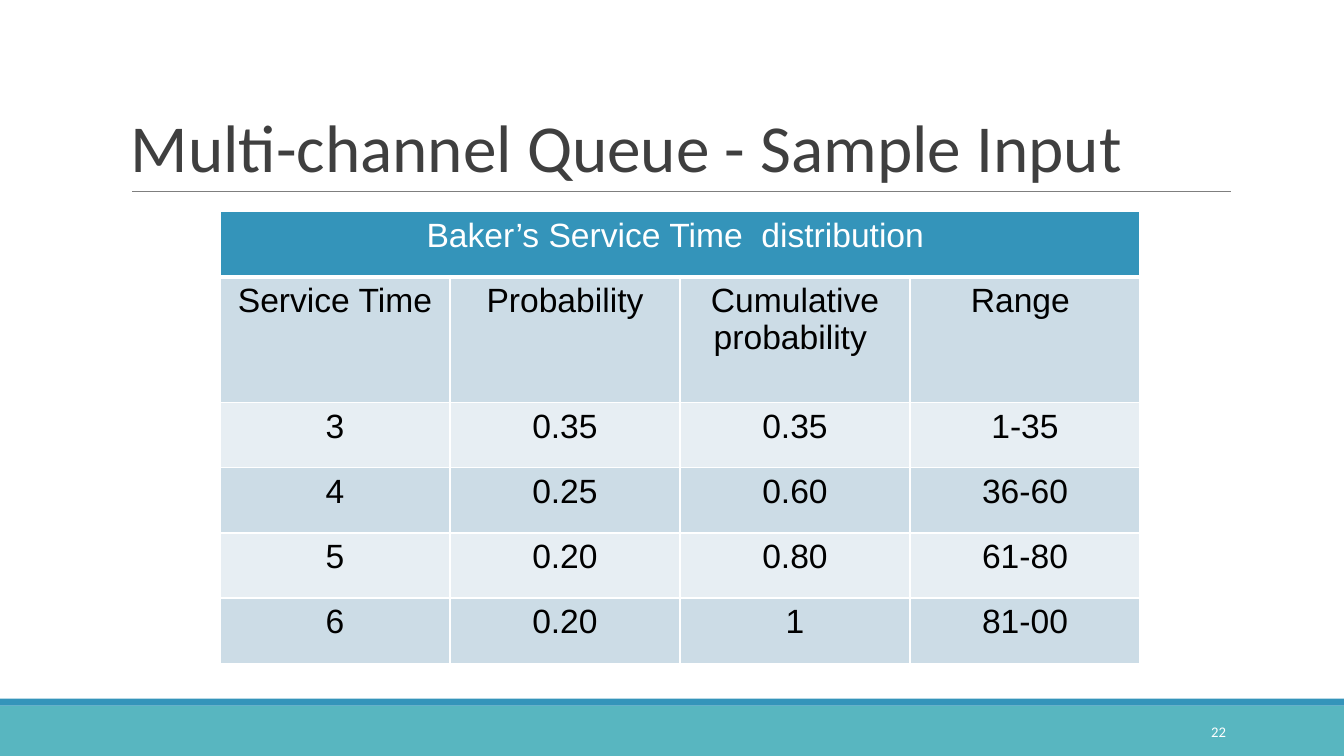
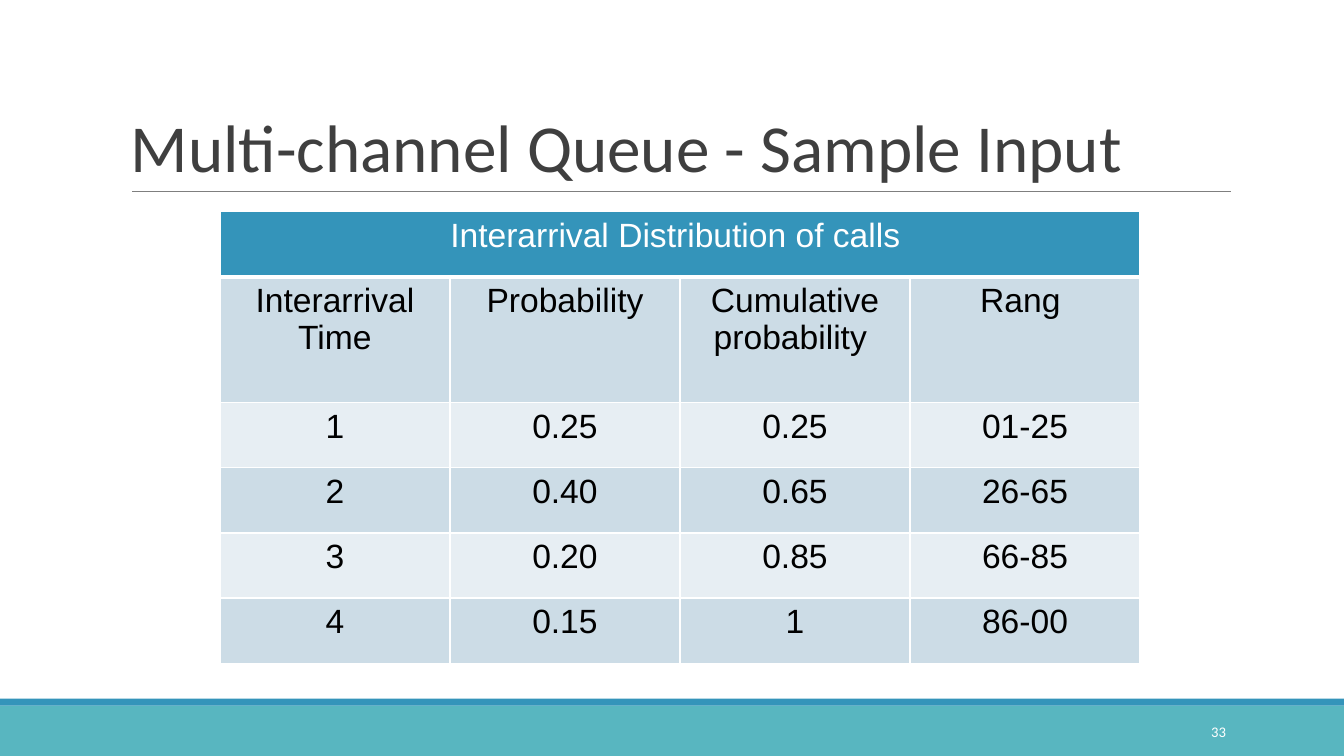
from lxml import etree
from pptx import Presentation
from pptx.dml.color import RGBColor
from pptx.enum.shapes import MSO_CONNECTOR, MSO_SHAPE
from pptx.enum.text import MSO_ANCHOR, PP_ALIGN
from pptx.oxml.ns import qn
from pptx.util import Pt

STRAIGHT = MSO_CONNECTOR.STRAIGHT
RECTANGLE = MSO_SHAPE.RECTANGLE
BOTTOM, MIDDLE = MSO_ANCHOR.BOTTOM, MSO_ANCHOR.MIDDLE
LEFT, CENTER, RIGHT = PP_ALIGN.LEFT, PP_ALIGN.CENTER, PP_ALIGN.RIGHT

WIDTH, HEIGHT = 960, 540


def color(value):
    return RGBColor.from_string(value)


class Deck:
    """Shared style and the slide being built."""

    BLUE, TEAL, WHITE, BLACK = "3494BA", "58B6C0", "FFFFFF", "000000"
    TITLE, RULE = "3F3F3F", "7F7F7F"
    STRIPES = ("CCDCE6", "E7EEF3")
    HEADING_FONT, TABLE_FONT = "Calibri", "Arial"

    def __init__(self):
        self.presentation = Presentation()
        self.presentation.slide_width = Pt(WIDTH)
        self.presentation.slide_height = Pt(HEIGHT)
        self.slide = None

    def add_slide(self, title, number):
        layout = self.presentation.slide_layouts[6]
        self.slide = self.presentation.slides.add_slide(layout)
        # Footer bands
        self.band(504, 36, self.TEAL)
        self.band(499, 5, self.BLUE)
        # Title and its rule
        self.rule(94.5, 879, 136.8)
        self.text(title, (86.4, 22.3, 792, 114.5), 48, self.TITLE, LEFT, BOTTOM, 0.85)
        # Slide number
        self.text(number, (779.8, 508.3, 103, 28.8), 10.5, self.WHITE, RIGHT, MIDDLE)

    def band(self, top, height, fill):
        shape = self.slide.shapes.add_shape(RECTANGLE, 0, Pt(top), Pt(WIDTH), Pt(height))
        shape.shadow.inherit = False
        shape.fill.solid()
        shape.fill.fore_color.rgb = color(fill)
        shape.line.fill.background()

    def rule(self, left, right, top):
        line = self.slide.shapes.add_connector(STRAIGHT, Pt(left), Pt(top), Pt(right), Pt(top))
        line.line.color.rgb = color(self.RULE)
        line.line.width = Pt(0.75)
        etree.SubElement(line._element.spPr, qn("a:effectLst"))

    def text(self, text, box, size, fill, align, anchor, spacing=1.0):
        shape = self.slide.shapes.add_textbox(*map(Pt, box))
        frame = shape.text_frame
        frame.word_wrap = True
        frame.vertical_anchor = anchor
        frame.text = text
        frame.paragraphs[0].line_spacing = spacing
        self.format(frame, self.HEADING_FONT, size, fill, align)

    def format(self, frame, font, size, fill, align):
        for paragraph in frame.paragraphs:
            paragraph.alignment = align
            for run in paragraph.runs:
                run.font.name = font
                run.font.size = Pt(size)
                run.font.bold = False
                run.font.color.rgb = color(fill)

    def table(self, caption, headings, rows):
        heights = [46.5, 90] + [46.5] * len(rows)
        column_width = 164.3
        columns = len(headings)
        table = self.slide.shapes.add_table(
            len(heights), columns, Pt(157.1), Pt(151.2),
            Pt(column_width * columns), Pt(sum(heights))).table
        table.first_row = table.horz_banding = False
        for column in table.columns:
            column.width = Pt(column_width)
        for row, height in zip(table.rows, heights):
            row.height = Pt(height)

        # Caption across the top, then headings and striped values
        table.cell(0, 0).merge(table.cell(0, columns - 1))
        contents = [[caption] + [""] * (columns - 1), headings, *rows]
        for i, values in enumerate(contents):
            fill = self.STRIPES[(i - 1) % 2] if i else self.BLUE
            ink = self.BLACK if i else self.WHITE
            for j, value in enumerate(values):
                cell = table.cell(i, j)
                self.borders(cell, top=3 if i == 1 else 1, bottom=1 if i else 3)
                cell.fill.solid()
                cell.fill.fore_color.rgb = color(fill)
                if value:
                    cell.text_frame.text = value
                    self.format(cell.text_frame, self.TABLE_FONT, 24, ink, CENTER)

    def borders(self, cell, top, bottom):
        properties = cell._tc.get_or_add_tcPr()
        for side, width in (("L", 1), ("R", 1), ("T", top), ("B", bottom)):
            line = etree.SubElement(properties, qn(f"a:ln{side}"), w=str(Pt(width)))
            fill = etree.SubElement(line, qn("a:solidFill"))
            etree.SubElement(fill, qn("a:srgbClr"), val=self.WHITE)


TITLE = "Multi-channel Queue - Sample Input"
deck = Deck()

# Service times
deck.add_slide(TITLE, "22")
deck.table(
    "Baker’s Service Time  distribution ",
    ["Service Time", "Probability", "Cumulative probability ", "Range "],
    [["3", "0.35", "0.35", "1-35"],
     ["4", "0.25", "0.60", "36-60"],
     ["5", "0.20", "0.80", "61-80"],
     ["6", "0.20", "1", "81-00"]])

# Interarrival times
deck.add_slide(TITLE, "33")
deck.table(
    "Interarrival Distribution of calls ",
    ["Interarrival Time", "Probability", "Cumulative probability ", "Rang "],
    [["1", "0.25", "0.25", "01-25"],
     ["2", "0.40", "0.65", "26-65"],
     ["3", "0.20", "0.85", "66-85"],
     ["4", "0.15", "1", "86-00"]])

deck.presentation.save("out.pptx")
